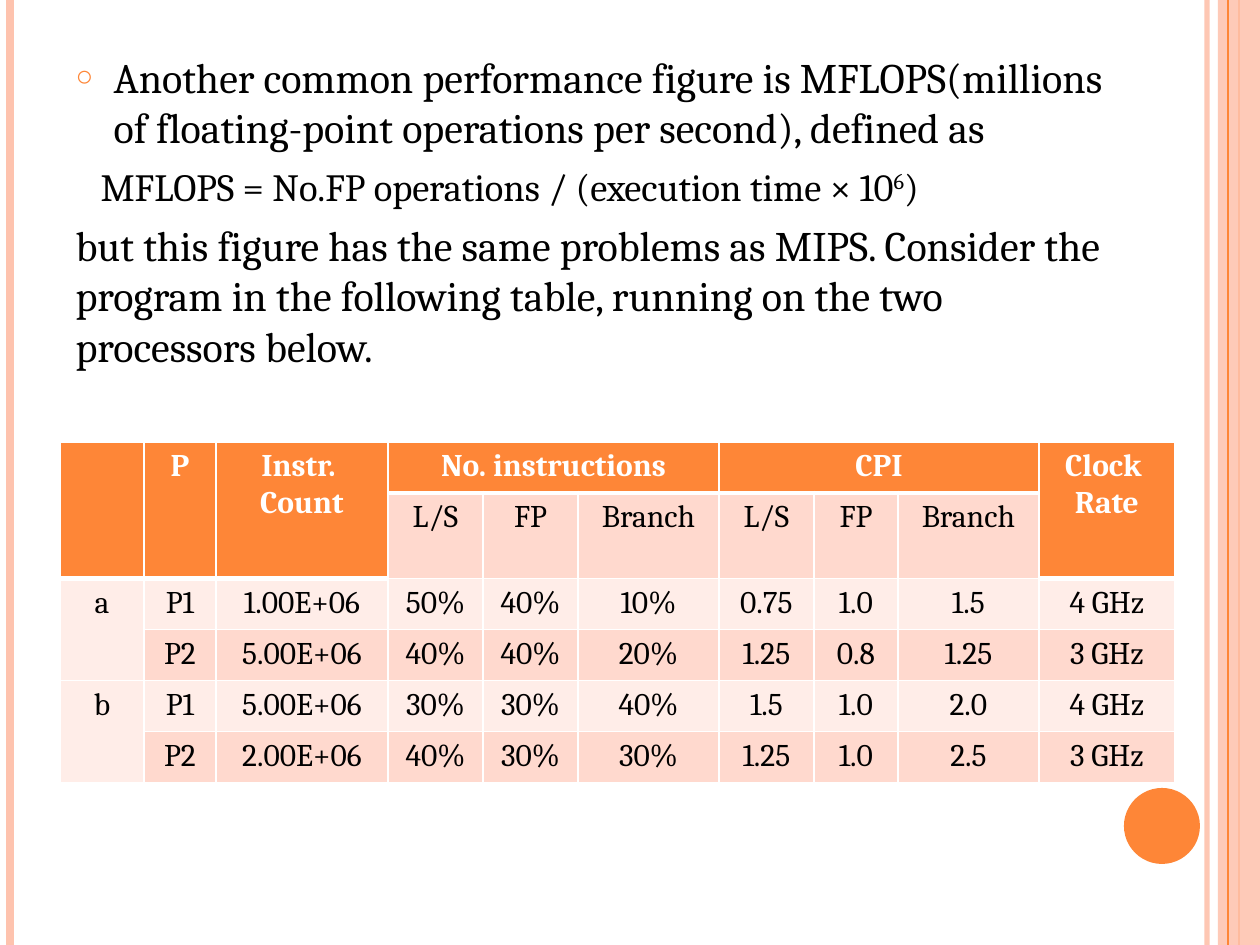
from lxml import etree
from pptx import Presentation
from pptx.dml.color import RGBColor
from pptx.enum.shapes import MSO_CONNECTOR, MSO_SHAPE
from pptx.enum.text import MSO_ANCHOR, MSO_AUTO_SIZE, PP_ALIGN
from pptx.oxml.ns import qn
from pptx.util import Emu, Pt

STRAIGHT = MSO_CONNECTOR.STRAIGHT
RECTANGLE, OVAL = MSO_SHAPE.RECTANGLE, MSO_SHAPE.OVAL
CENTER, TOP, NO_FIT = PP_ALIGN.CENTER, MSO_ANCHOR.TOP, MSO_AUTO_SIZE.NONE

PX_PER_INCH = 126
WIDTH, HEIGHT = 1260, 945
ORANGE, PEACH, BLACK, WHITE = "FE8637", "FEC3AE", "000000", "FFFFFF"
BAND_DARK, BAND_LIGHT = "FFD9CE", "FFEDE8"


def px(length):
    return Emu(round(length * 914400 / PX_PER_INCH))


def color(hex_text):
    return RGBColor.from_string(hex_text)


def add_alpha(fill_parent, percent):
    """Make the solid fill below this element partly transparent."""
    color_element = fill_parent.find(qn("a:solidFill"))[0]
    etree.SubElement(color_element, qn("a:alpha"), val=str(percent * 1000))


class SlideBuilder:
    font_name = "Cambria"

    def __init__(self, presentation):
        # Title-and-content layout: the slide has body text but no title
        self.slide = presentation.slides.add_slide(presentation.slide_layouts[1])
        title = self.slide.shapes.title.element
        title.getparent().remove(title)

    def format_runs(self, paragraph, size, hex_text, bold=False):
        for run in paragraph.runs:
            run.font.name = self.font_name
            run.font.size = Pt(size)
            run.font.bold = bold
            run.font.color.rgb = color(hex_text)

    def vertical_line(self, x, hex_text, weight, opacity=100):
        line = self.slide.shapes.add_connector(STRAIGHT, px(x), 0, px(x), px(HEIGHT))
        line.line.color.rgb = color(hex_text)
        line.line.width = Pt(weight)
        properties = line.element.spPr
        if opacity < 100:
            add_alpha(properties.find(qn("a:ln")), opacity)
        etree.SubElement(properties, qn("a:effectLst"))

    def shape(self, kind, left, top, width, height, hex_text, opacity=100):
        shape = self.slide.shapes.add_shape(kind, px(left), px(top), px(width), px(height))
        shape.shadow.inherit = False
        shape.fill.solid()
        shape.fill.fore_color.rgb = color(hex_text)
        shape.line.fill.background()
        if opacity < 100:
            add_alpha(shape.element.spPr, opacity)

    def body(self, left, top, width, height, items):
        """Each item: runs, size, left margin, whether it has a bullet."""
        body = self.slide.placeholders[1]
        body.left, body.top = px(left), px(top)
        body.width, body.height = px(width), px(height)
        frame = body.text_frame
        frame.word_wrap = True
        frame.auto_size = NO_FIT
        frame.vertical_anchor = TOP
        for index, (runs, size, margin, bullet) in enumerate(items):
            paragraph = frame.add_paragraph() if index else frame.paragraphs[0]
            paragraph.space_before = Pt(6 if index else 0)
            self.bullet(paragraph, margin, bullet)
            for text, baseline in runs:
                run = paragraph.add_run()
                run.text = text
                if baseline:
                    run.font._element.set("baseline", str(baseline * 1000))
            self.format_runs(paragraph, size, BLACK)

    def bullet(self, paragraph, margin, bullet):
        properties = paragraph._p.get_or_add_pPr()
        properties.set("marL", str(px(margin)))
        properties.set("indent", str(px(-margin if bullet else 0)))
        if not bullet:
            etree.SubElement(properties, qn("a:buNone"))
            return
        bullet_color = etree.SubElement(properties, qn("a:buClr"))
        etree.SubElement(bullet_color, qn("a:srgbClr"), val=ORANGE)
        etree.SubElement(properties, qn("a:buSzPct"), val="70000")
        etree.SubElement(properties, qn("a:buChar"), char="○")

    def cell_borders(self, cell, top, bottom):
        properties = cell._tc.get_or_add_tcPr()
        weights = (("a:lnL", 1), ("a:lnR", 1), ("a:lnT", top), ("a:lnB", bottom))
        for index, (tag, weight) in enumerate(weights):
            border = etree.Element(qn(tag), w=str(Pt(weight)))
            fill = etree.SubElement(border, qn("a:solidFill"))
            etree.SubElement(fill, qn("a:srgbClr"), val=WHITE)
            properties.insert(index, border)

    def table(self, left, top, widths, row_height, rows, merges, is_header):
        frame = self.slide.shapes.add_table(
            len(rows), len(widths), px(left), px(top),
            px(sum(widths)), px(row_height * len(rows)))
        table = frame.table
        table.first_row = table.horz_banding = False
        for column, width in zip(table.columns, widths):
            column.width = px(width)
        for row_index, values in enumerate(rows):
            table.rows[row_index].height = px(row_height)
            for column_index, value in enumerate(values):
                cell = table.cell(row_index, column_index)
                header = is_header(row_index, column_index)
                below_header = row_index and is_header(row_index - 1, column_index)
                band = BAND_DARK if row_index % 2 else BAND_LIGHT
                cell.fill.solid()
                cell.fill.fore_color.rgb = color(ORANGE if header else band)
                self.cell_borders(cell, 3 if below_header else 1, 3 if header else 1)
                cell.text_frame.text = value
                for paragraph in cell.text_frame.paragraphs:
                    paragraph.alignment = CENTER
                    self.format_runs(paragraph, 18, WHITE if header else BLACK, header)
        for first, last in merges:
            table.cell(*first).merge(table.cell(*last))


def main():
    presentation = Presentation()
    presentation.slide_width, presentation.slide_height = px(WIDTH), px(HEIGHT)
    builder = SlideBuilder(presentation)

    # Side stripes and corner disc
    builder.vertical_line(1207, PEACH, 3, 93)
    builder.vertical_line(10, PEACH, 4.5)
    builder.vertical_line(1239, ORANGE, 1.5)
    builder.shape(RECTANGLE, 1218, 0, 42, HEIGHT, PEACH, 87)
    builder.vertical_line(1228, ORANGE, 0.75)
    builder.shape(OVAL, 1124, 788, 76, 76, ORANGE)

    # Definition of MFLOPS
    builder.body(63, 45, 1082, 892, [
        ([("Another common performance figure is MFLOPS(millions of "
           "floating-point operations per second), defined as", 0)], 24, 38, True),
        ([("MFLOPS = No.FP operations / (execution time × 10", 0), ("6", 30), (")", 0)],
         22, 25, False),
        ([("but this figure has the same problems as MIPS. Consider the program in the "
           "following table, running on the two processors below.", 0)], 24, 0, False),
    ])

    # Processor comparison
    kinds = ["L/S", "FP", "Branch"]
    rows = [
        ["", "P", "Instr. \nCount", "No. instructions", "", "", "CPI", "", "", "Clock \nRate"],
        ["", "", "", *kinds, *kinds, ""],
        ["a", "P1", "1.00E+06", "50%", "40%", "10%", "0.75", "1.0", "1.5", "4 GHz"],
        ["", "P2", "5.00E+06", "40%", "40%", "20%", "1.25", "0.8", "1.25", "3 GHz"],
        ["b", "P1", "5.00E+06", "30%", "30%", "40%", "1.5", "1.0", "2.0", "4 GHz"],
        ["", "P2", "2.00E+06", "40%", "30%", "30%", "1.25", "1.0", "2.5", "3 GHz"],
    ]
    tall_columns = (0, 1, 2, 9)
    merges = [((0, column), (1, column)) for column in tall_columns]
    merges += [((0, column), (0, column + 2)) for column in (3, 6)]
    merges += [((row, 0), (row + 1, 0)) for row in (2, 4)]
    widths = [84, 72, 172, 95, 95, 141, 95, 84, 141, 136]
    builder.table(60, 442, widths, 51, rows, merges,
                  lambda row, column: row == 0 or (row == 1 and column in tall_columns))

    presentation.save("out.pptx")


if __name__ == "__main__":
    main()
